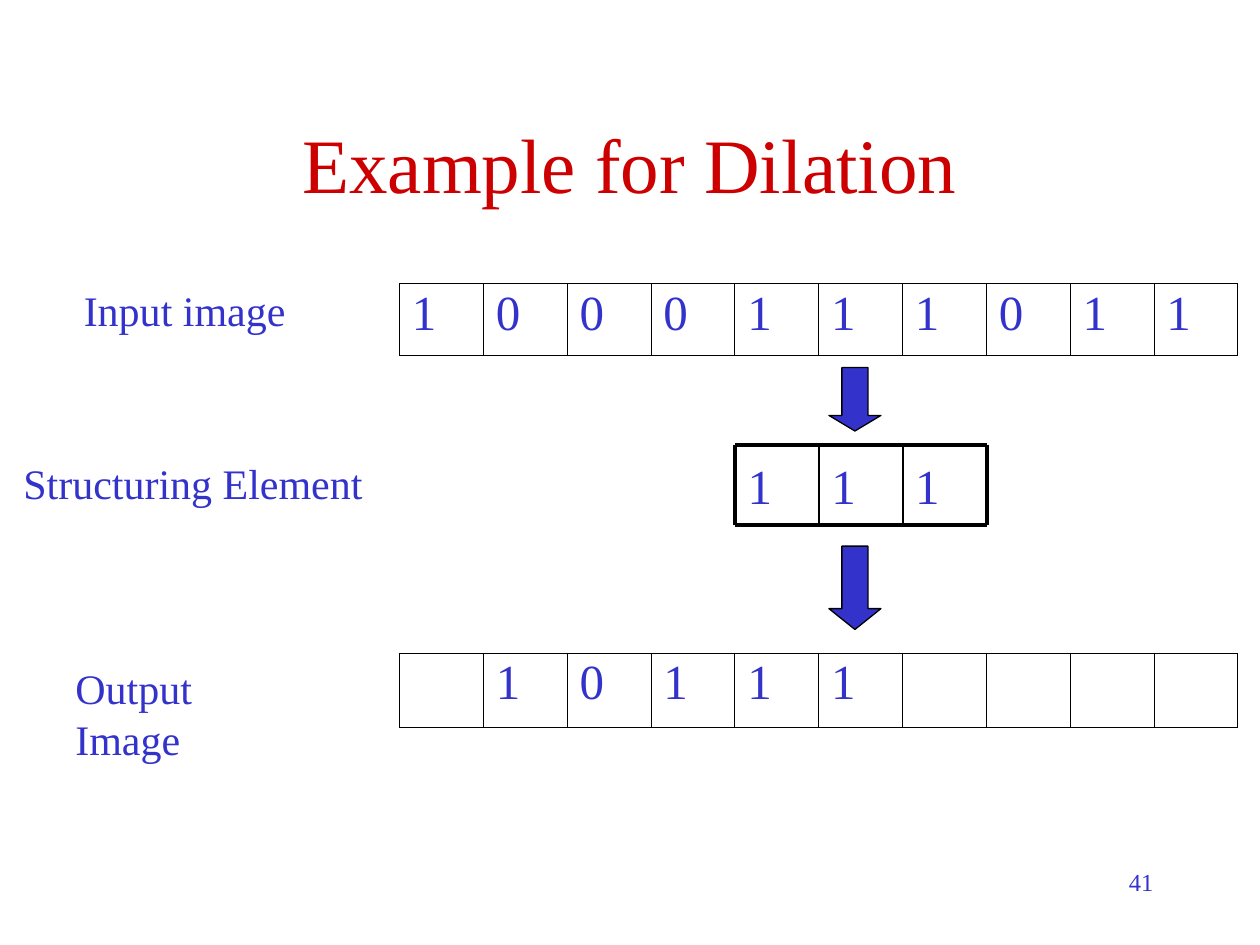
"""Build a slide showing a worked example of binary dilation."""
from dataclasses import dataclass

from lxml import etree
from pptx import Presentation
from pptx import util as u
from pptx.dml.color import RGBColor
from pptx.enum import shapes, text
from pptx.oxml.ns import qn

RED = RGBColor(0xCC, 0x00, 0x00)
BLUE = RGBColor(0x33, 0x33, 0xCC)
BLACK = RGBColor(0x00, 0x00, 0x00)
FONT = "Times New Roman"
CELL_W = 1.69
ROW_LEFT = 8.05
ELEMENT_LEFT, ELEMENT_TOP, ELEMENT_H = 14.82, 8.97, 1.62


@dataclass
class Label:
    text: str
    left: float
    top: float
    width: float
    height: float
    size: float = 24
    color: RGBColor = BLUE
    align: text.PP_ALIGN = text.PP_ALIGN.LEFT
    anchor: text.MSO_ANCHOR = text.MSO_ANCHOR.TOP
    wrap: bool = True


@dataclass
class PixelRow:
    values: str
    top: float
    height: float


@dataclass
class Arrow:
    top: float
    height: float
    head: float


LABELS = [
    Label("Example for Dilation", 1.9, 1.7, 21.6, 3.18, size=44, color=RED,
          align=text.PP_ALIGN.CENTER, anchor=text.MSO_ANCHOR.MIDDLE),
    Label("41", 18.2, 17.35, 5.3, 1.27, size=14, align=text.PP_ALIGN.RIGHT),
    Label("Input image", 1.44, 5.62, 4.58, 1.28, wrap=False),
    Label("Structuring Element", 0.22, 9.09, 7.35, 1.28, wrap=False),
    Label("Output Image", 1.27, 13.24, 5.17, 1.28, wrap=False),
]
ROWS = [PixelRow("1000111011", 5.72, 1.45), PixelRow(" 10111    ", 13.17, 1.5)]
ARROWS = [Arrow(7.41, 1.28, 0.3), Arrow(11.01, 1.68, 0.4)]
ELEMENT = "111"


def write(tf, content: str, *, size: float, color: RGBColor = BLUE,
          align=text.PP_ALIGN.LEFT, spacing: float = 1.0) -> None:
    """Write one formatted paragraph into a text frame."""
    p = tf.paragraphs[0]
    p.alignment = align
    p.line_spacing = spacing
    r = p.add_run()
    r.text = content
    r.font.name = FONT
    r.font.size = u.Pt(size)
    r.font.color.rgb = color


def draw_label(s, label: Label) -> None:
    """Add a text box holding one label."""
    sp = s.shapes.add_textbox(u.Cm(label.left), u.Cm(label.top),
                              u.Cm(label.width), u.Cm(label.height))
    tf = sp.text_frame
    tf.word_wrap = label.wrap
    tf.vertical_anchor = label.anchor
    write(tf, label.text, size=label.size, color=label.color, align=label.align)


def set_border(cell, side: str, width: float) -> None:
    """Give one side of a table cell a black line."""
    ln = etree.SubElement(cell._tc.get_or_add_tcPr(), qn(f"a:{side}"),
                          w=str(int(u.Pt(width))))
    fill = etree.SubElement(ln, qn("a:solidFill"))
    etree.SubElement(fill, qn("a:srgbClr"), val=str(BLACK))


def draw_row(s, row: PixelRow) -> None:
    """Add a one-row table of pixel values."""
    n = len(row.values)
    table = s.shapes.add_table(1, n, u.Cm(ROW_LEFT), u.Cm(row.top),
                               u.Cm(n * CELL_W), u.Cm(row.height)).table
    table.first_row = table.horz_banding = False
    for i, value in enumerate(row.values):
        table.columns[i].width = u.Cm(CELL_W)
        cell = table.cell(0, i)
        if value.strip():
            write(cell.text_frame, value, size=28, spacing=0.93)
        set_border(cell, "lnL", 0.5 if i == 0 else 0.23)
        set_border(cell, "lnR", 0.5 if i == n - 1 else 0.23)
        set_border(cell, "lnT", 0.5)
        set_border(cell, "lnB", 0.5)
        cell.fill.background()


def draw_line(s, x1: float, y1: float, x2: float, y2: float, width: float) -> None:
    """Add a black straight line without a shadow."""
    line = s.shapes.add_connector(shapes.MSO_CONNECTOR.STRAIGHT,
                                  u.Cm(x1), u.Cm(y1), u.Cm(x2), u.Cm(y2))
    line.line.color.rgb = BLACK
    line.line.width = u.Pt(width)
    etree.SubElement(line._element.spPr, qn("a:effectLst"))


def draw_element(s) -> None:
    """Add the structuring element with its heavy frame and thin dividers."""
    n = len(ELEMENT)
    right, bottom = ELEMENT_LEFT + n * CELL_W, ELEMENT_TOP + ELEMENT_H
    for i, value in enumerate(ELEMENT):
        draw_label(s, Label(value, ELEMENT_LEFT + i * CELL_W, ELEMENT_TOP, CELL_W,
                            ELEMENT_H, size=28, anchor=text.MSO_ANCHOR.MIDDLE))
    for y in (ELEMENT_TOP, bottom):
        draw_line(s, ELEMENT_LEFT, y, right, y, 2.25)
    for i in range(n + 1):
        x = ELEMENT_LEFT + i * CELL_W
        draw_line(s, x, ELEMENT_TOP, x, bottom, 2.25 if i in (0, n) else 1)


def draw_arrow(s, arrow: Arrow) -> None:
    """Add a block arrow pointing down."""
    sp = s.shapes.add_shape(shapes.MSO_SHAPE.DOWN_ARROW, u.Cm(16.71),
                            u.Cm(arrow.top), u.Cm(1.05), u.Cm(arrow.height))
    sp.adjustments[0] = 0.5
    sp.adjustments[1] = arrow.head
    sp.shadow.inherit = False
    sp.fill.solid()
    sp.fill.fore_color.rgb = BLUE
    sp.line.color.rgb = BLACK
    sp.line.width = u.Pt(0.75)


def main() -> None:
    """Assemble the slide and save it."""
    prs = Presentation()
    prs.slide_width, prs.slide_height = u.Cm(25.4), u.Cm(19.05)
    s = prs.slides.add_slide(prs.slide_layouts[6])
    for label in LABELS:
        draw_label(s, label)
    for row in ROWS:
        draw_row(s, row)
    draw_element(s)
    for arrow in ARROWS:
        draw_arrow(s, arrow)
    prs.save("out.pptx")


if __name__ == "__main__":
    main()
